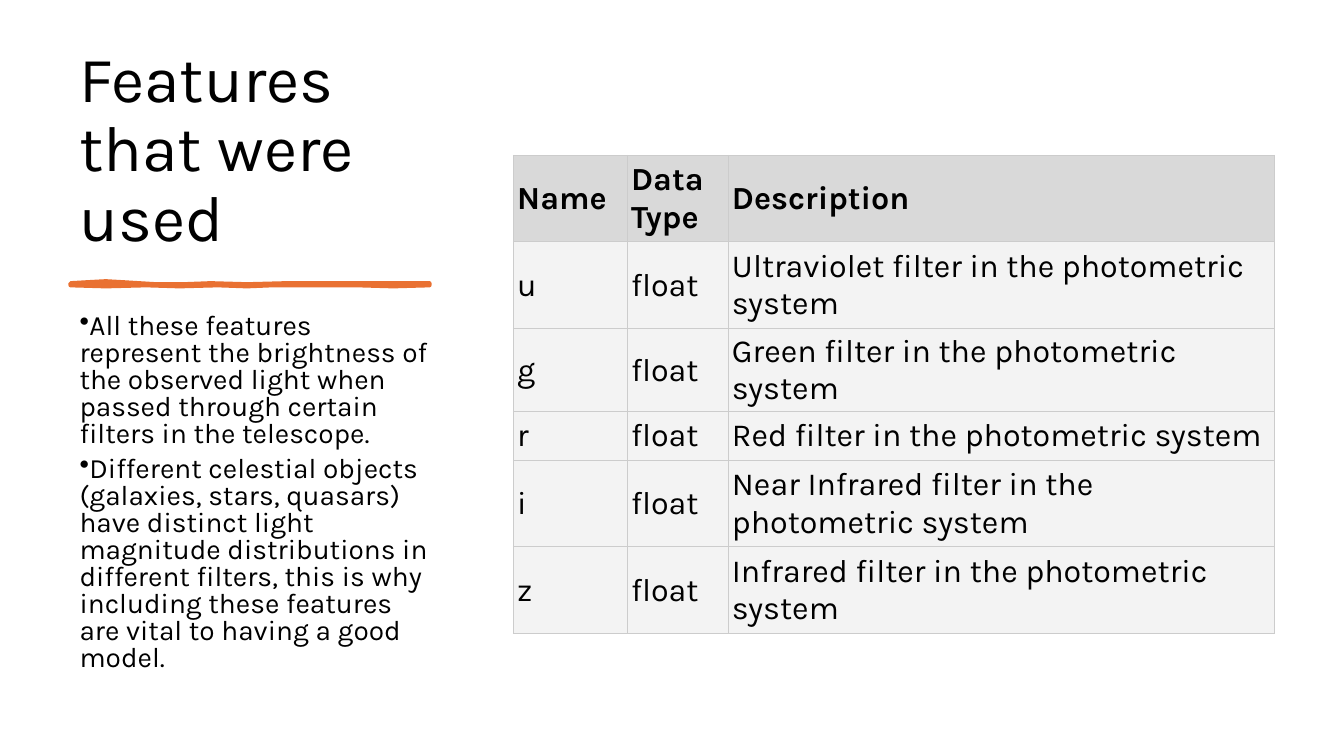
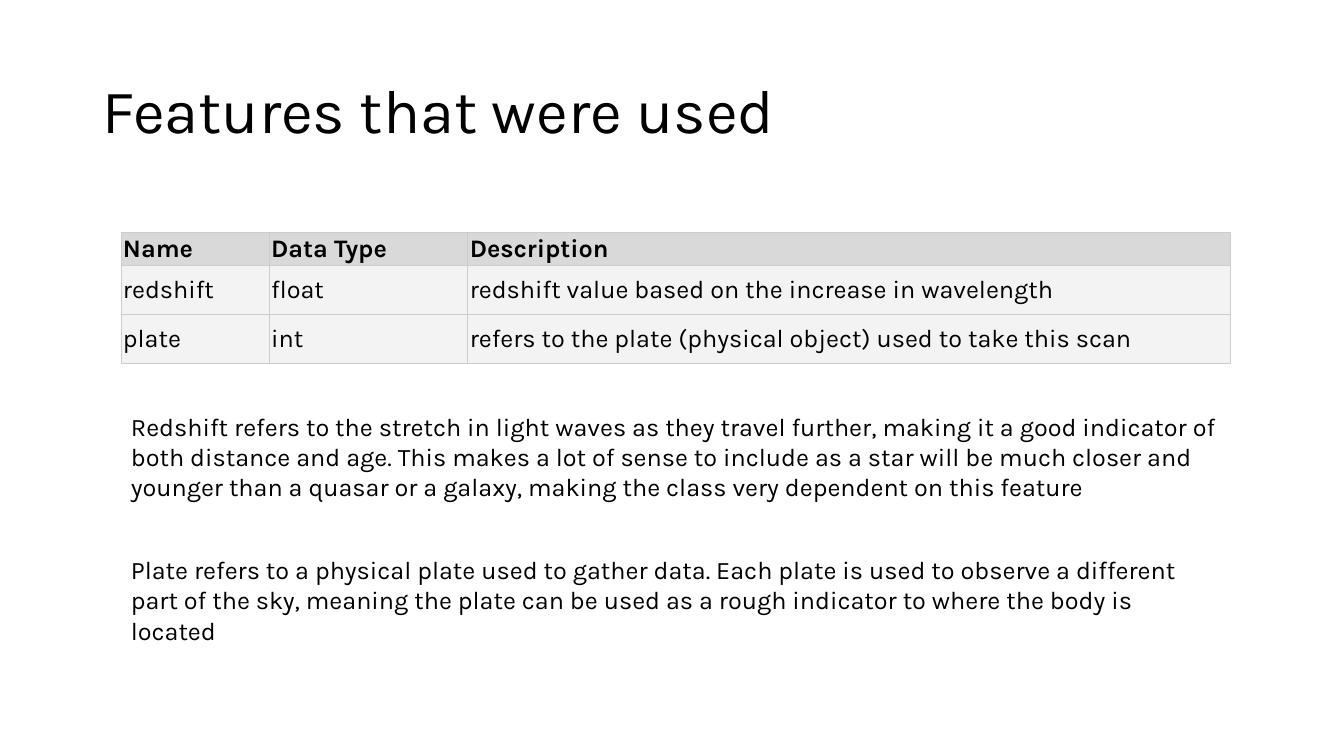
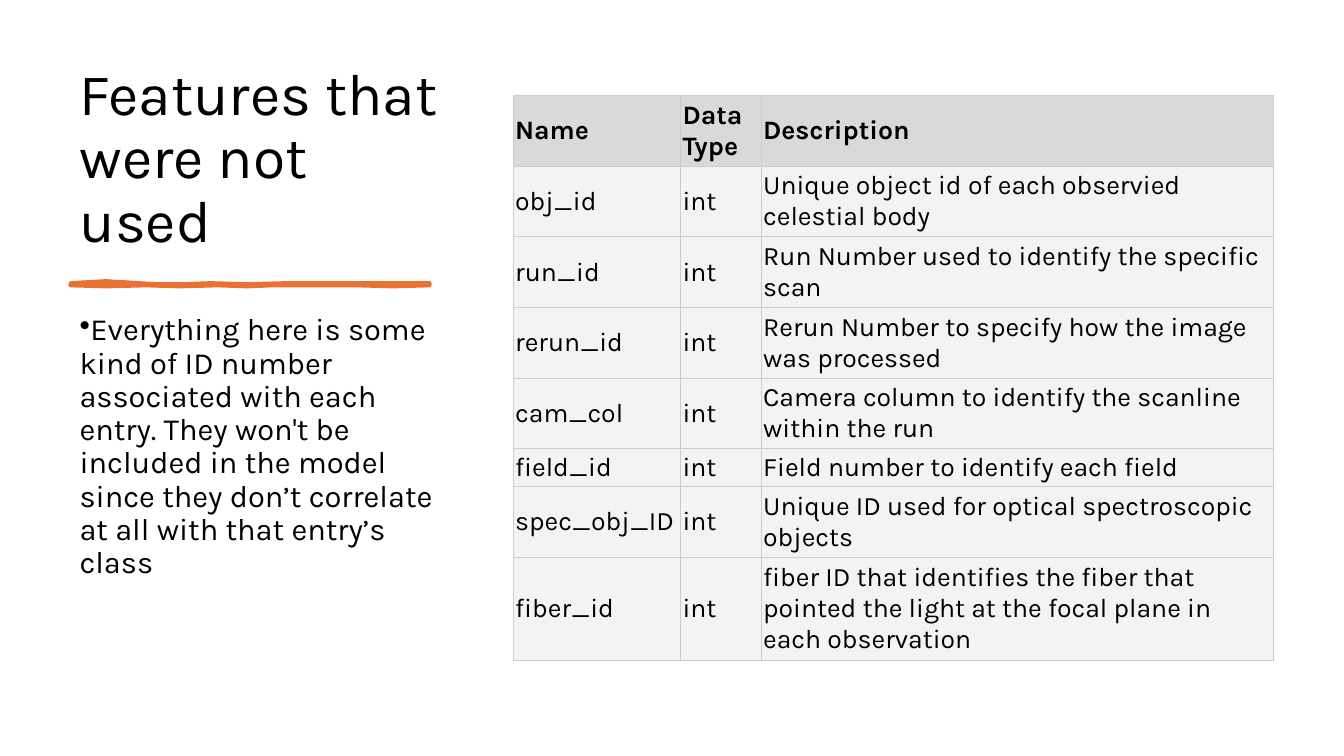
"""Build three slides that list the features of a sky survey data set."""
from lxml.etree import SubElement
from pptx import Presentation
from pptx.dml.color import RGBColor
from pptx.enum.text import MSO_ANCHOR as Anchor
from pptx.oxml.ns import qn
from pptx.util import Inches, Pt

rgb = RGBColor.from_string
FONT, INK, ACCENT = "Karla", "000000", "E97132"
HEADER_FILL, BODY_FILL, BORDER = "D9D9D9", "F3F3F3", "CCCCCC"
SIDE_TITLE, SIDE_NOTES = (0.69, 0.7, 3.75, 1.88), (0.69, 3.07, 3.75, 3.73)
HEADER = ("Name", "Data Type", "Description")
BRUSH_STROKE = [
    (70, 281), (87, 280), (105, 279), (122, 280), (138, 281), (155, 282),
    (182, 282), (209, 281), (245, 282), (284, 281), (320, 281), (359, 281),
    (390, 281), (426, 281), (426, 283), (390, 284), (355, 283), (300, 283),
    (270, 283), (245, 284), (216, 283), (178, 284), (145, 283), (105, 284),
    (70, 283),
]


def write_text(frame, texts, size, bold=False, spacing=None, after=0, bullet=None):
    """Fill a text frame with one paragraph for each text."""
    frame.word_wrap = True
    for index, text in enumerate(texts):
        paragraph = frame.paragraphs[0] if index == 0 else frame.add_paragraph()
        paragraph.text = text
        if bullet:
            properties = paragraph._p.get_or_add_pPr()
            properties.set("marL", "0")
            properties.set("indent", str(-Inches(0.25)))
            SubElement(properties, qn("a:buChar"), char=bullet)
        if spacing:
            paragraph.line_spacing = spacing
        paragraph.space_after = Pt(after)
        font = paragraph.font
        for key, value in {"name": FONT, "size": Pt(size), "bold": bold}.items():
            setattr(font, key, value)
        font.color.rgb = rgb(INK)


def add_feature_table(slide, left, top, widths, heights, rows, size, margins):
    """Add a bordered table with a grey header row."""
    grid = slide.shapes.add_table(
        len(heights), len(widths), Inches(left), Inches(top),
        Inches(sum(widths)), Inches(sum(heights))).table
    grid.first_row = grid.horz_banding = False
    for column, width in zip(grid.columns, widths):
        column.width = Inches(width)
    for row, height in zip(grid.rows, heights):
        row.height = Inches(height)
    side, edge = (Inches(margin) for margin in margins)
    layout = {"margin_left": side, "margin_right": side, "margin_top": edge,
              "margin_bottom": edge, "vertical_anchor": Anchor.MIDDLE}
    for r, row in enumerate([HEADER] + rows):
        for c, text in enumerate(row):
            cell = grid.cell(r, c)
            for key, value in layout.items():
                setattr(cell, key, value)
            for tag in ("a:lnL", "a:lnR", "a:lnT", "a:lnB"):
                line = SubElement(cell._tc.get_or_add_tcPr(), qn(tag), w=str(Pt(0.75)))
                SubElement(SubElement(line, qn("a:solidFill")), qn("a:srgbClr"), val=BORDER)
            cell.fill.solid()
            cell.fill.fore_color.rgb = rgb(BODY_FILL if r else HEADER_FILL)
            write_text(cell.text_frame, [text], size, bold=r == 0)


bands = [("u", "Ultraviolet"), ("g", "Green"), ("r", "Red"),
         ("i", "Near Infrared"), ("z", "Infrared")]
band_rows = [(name, "float", f"{light} filter in the photometric system")
             for name, light in bands]
position_rows = [
    ("redshift", "float", "redshift value based on the increase in wavelength"),
    ("plate", "int", "refers to the plate (physical object) used to take this scan"),
]
id_rows = [(name, "int", meaning) for name, meaning in [
    ("obj_id", "Unique object id of each observied celestial body"),
    ("run_id", "Run Number used to identify the specific scan"),
    ("rerun_id", "Rerun Number to specify how the image was processed"),
    ("cam_col", "Camera column to identify the scanline within the run"),
    ("field_id", "Field number to identify each field"),
    ("spec_obj_ID", "Unique ID used for optical spectroscopic objects"),
    ("fiber_id", "fiber ID that identifies the fiber that pointed the light "
                 "at the focal plane in each observation"),
]]
filter_notes = [
    "All these features represent the brightness of the observed light when passed "
    "through certain filters in the telescope.",
    "Different celestial objects (galaxies, stars, quasars) have distinct light "
    "magnitude distributions in different filters, this is why including these "
    "features are vital to having a good model.",
]
id_notes = [
    "Everything here is some kind of ID number associated with each entry. They won't "
    "be included in the model since they don’t correlate at all with that entry’s class",
]
redshift_note = (
    "Redshift refers to the stretch in light waves as they travel further, making it a "
    "good indicator of both distance and age. This makes a lot of sense to include as a "
    "star will be much closer and younger than a quasar or a galaxy, making the class "
    "very dependent on this feature")
plate_note = (
    "Plate refers to a physical plate used to gather data. Each plate is used to observe "
    "a different part of the sky, meaning the plate can be used as a rough indicator to "
    "where the body is located")

title_style = {"spacing": 0.9}
bullet_style = {"after": 6, "bullet": "•"}
pages = [
    {"texts": [
        (SIDE_TITLE, Anchor.BOTTOM, ["Features that were used"], 46, title_style),
        (SIDE_NOTES, Anchor.TOP, filter_notes, 20, {"spacing": 0.8, **bullet_style})],
     "brush": True,
     "table": (5.09, 1.54, (1.13, 1, 5.42), (0.86, 0.86, 0.48, 0.48, 0.86, 0.86),
               band_rows, 23, (0.04, 0.03))},
    {"texts": [
        ((0.92, 0.4, 11.5, 1.45), Anchor.MIDDLE, ["Features that were used"], 44, title_style),
        ((1.2, 4.03, 11, 1.01), Anchor.TOP, [redshift_note], 18, {}),
        ((1.2, 5.45, 11, 0.71), Anchor.TOP, [plate_note], 18, {})],
     "brush": False,
     "table": (1.2, 2.31, (1.47, 1.97, 7.56), (0.26, 0.49, 0.49),
               position_rows, 18, (0.02, 0.01))},
    {"texts": [
        (SIDE_TITLE, Anchor.BOTTOM, ["Features that were not used"], 42, title_style),
        (SIDE_NOTES, Anchor.TOP, id_notes, 22, {"spacing": 0.9, **bullet_style})],
     "brush": True,
     "table": (5.09, 0.95, (1.66, 0.8, 5.08), (0.7,) * 5 + (0.38, 0.7, 1.02),
               id_rows, 19, (0.02, 0.01))},
]

deck = Presentation()
deck.slide_width, deck.slide_height = Inches(13.33), Inches(7.5)
for page in pages:
    slide = deck.slides.add_slide(deck.slide_layouts[6])
    for box, anchor, texts, size, style in page["texts"]:
        frame = slide.shapes.add_textbox(*map(Inches, box)).text_frame
        frame.vertical_anchor = anchor
        write_text(frame, texts, size, **style)
    if page["brush"]:
        outline = slide.shapes.build_freeform(*BRUSH_STROKE[0], scale=Inches(0.01))
        outline.add_line_segments(BRUSH_STROKE[1:], close=True)
        brush = outline.convert_to_shape()
        brush.shadow.inherit = False
        brush.fill.solid()
        brush.fill.fore_color.rgb = brush.line.color.rgb = rgb(ACCENT)
        brush.line.width = Pt(3)
    add_feature_table(slide, *page["table"])
deck.save("out.pptx")
